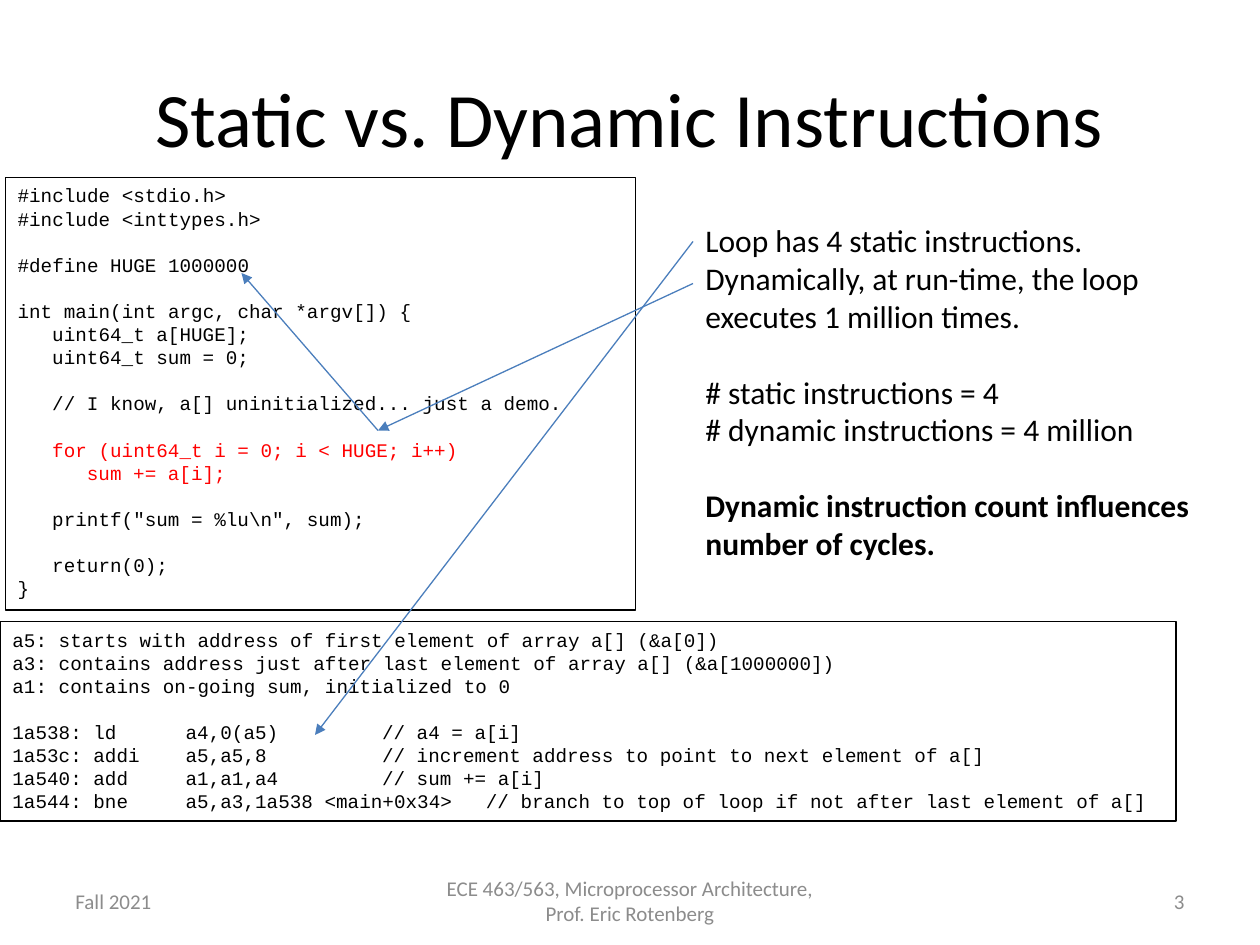
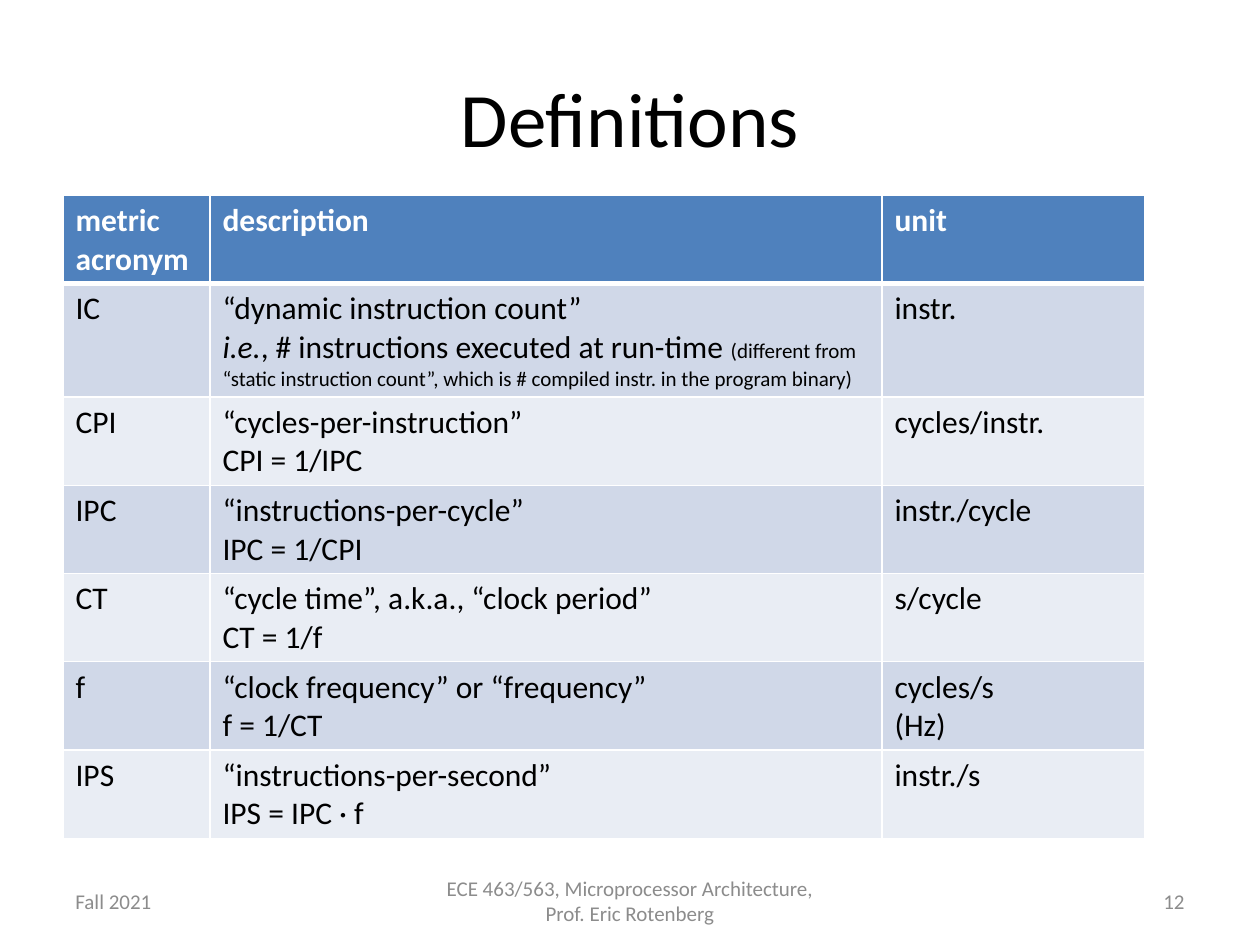
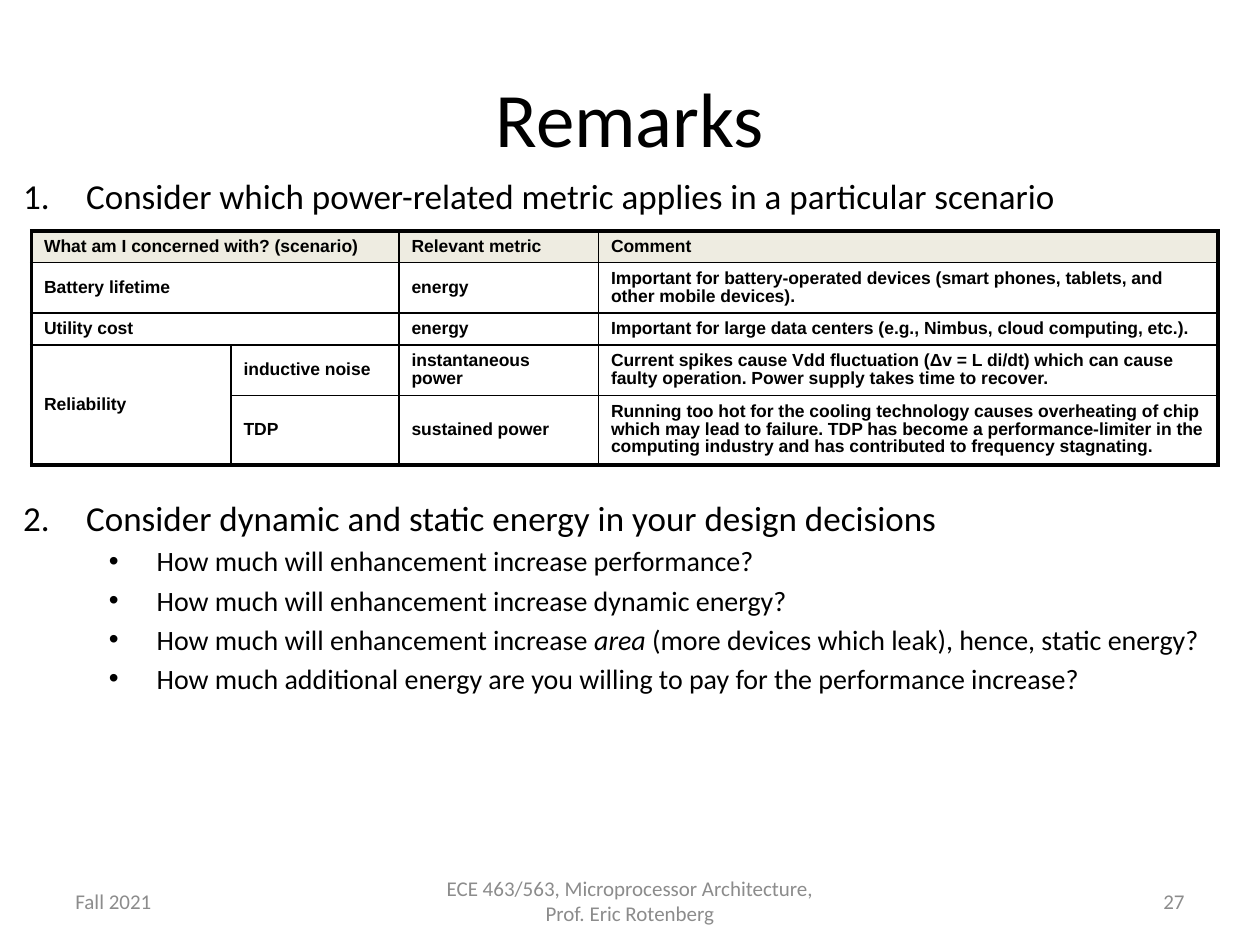
from dataclasses import dataclass

from lxml.etree import SubElement
from pptx import Presentation
from pptx.dml.color import RGBColor
from pptx.enum.shapes import MSO_CONNECTOR as Connector, MSO_SHAPE as Preset
from pptx.enum.text import MSO_ANCHOR as Anchor, MSO_AUTO_SIZE as AutoSize, PP_ALIGN as Align
from pptx.oxml.ns import qn
from pptx.util import Inches, Pt

COLUMNS, ROWS = 120, 90
LINE_HEIGHT = 1.2
MONOSPACE_WIDTH = 0.6


@dataclass(frozen=True)
class Theme:
    sans: str = "Calibri"
    code: str = "Courier New"
    grid: str = "Arial"
    ink: str = "000000"
    paper: str = "FFFFFF"
    muted: str = "8C8C8C"
    highlight: str = "FF0000"
    arrow: str = "4B7EBC"
    header: str = "4F81BD"
    bands: tuple = ("D0D8E8", "E9EDF4")
    sand: str = "EEECE1"
    title_size: float = 44
    item_size: float = 20
    text_size: float = 18
    detail_size: float = 16
    small_size: float = 12
    code_size: float = 11
    grid_size: float = 10
    thin: float = 0.75


@dataclass(frozen=True)
class Span:
    """A piece of a line that differs from the rest."""
    text: str
    size: float = None
    italic: bool = None


@dataclass(frozen=True)
class TableStyle:
    font: str
    size: float
    header_fill: str
    header_colour: str
    bands: tuple
    line: str
    inner: float
    outer: float
    header_rule: float
    bold_body: bool = False
    line_spacing: float = None
    anchor: Anchor = Anchor.TOP


THEME = Theme()
BANDED = TableStyle(THEME.sans, THEME.text_size, THEME.header, THEME.paper, THEME.bands,
                    THEME.paper, inner=1, outer=1, header_rule=3)
RULED = TableStyle(THEME.grid, THEME.grid_size, THEME.sand, THEME.ink, (None,),
                   THEME.ink, inner=1, outer=2.25, header_rule=1, bold_body=True,
                   line_spacing=0.9, anchor=Anchor.MIDDLE)


def rgb(colour):
    return RGBColor.from_string(colour)


def set_text(paragraph, content, font, size, colour, bold=None):
    """Write a string, or a list of strings and spans, and format its runs."""
    if isinstance(content, str):
        content = [content]
    spans = [part if isinstance(part, Span) else Span(part) for part in content]
    if len(spans) == 1:
        paragraph.text = spans[0].text
    else:
        for span in spans:
            paragraph.add_run().text = span.text
    for index, run in enumerate(paragraph.runs):
        span = spans[min(index, len(spans) - 1)]
        run.font.name = font
        run.font.size = Pt(span.size or size)
        run.font.color.rgb = rgb(colour)
        run.font.bold = bold
        run.font.italic = span.italic


def paragraphs_for(text_frame, count):
    return [text_frame.paragraphs[0]] + [text_frame.add_paragraph() for _ in range(count - 1)]


def gaps_before(lines):
    """Pair each filled line with the number of blank lines above it."""
    pairs, blanks = [], 0
    for line in lines:
        if line:
            pairs.append((line, blanks))
            blanks = 0
        else:
            blanks += 1
    return pairs


def draw_border(cell, side, colour, width):
    line = SubElement(cell._tc.get_or_add_tcPr(), qn(f"a:ln{side}"), w=str(Pt(width)))
    fill = SubElement(line, qn("a:solidFill"))
    SubElement(fill, qn("a:srgbClr"), val=colour)


class Deck:
    def __init__(self, theme):
        self.theme = theme
        self.presentation = Presentation()
        self.presentation.slide_width = Inches(10)
        self.presentation.slide_height = Inches(7.5)
        self.slide = None

    def x(self, columns):
        return round(self.presentation.slide_width * columns / COLUMNS)

    def y(self, rows):
        return round(self.presentation.slide_height * rows / ROWS)

    def box(self, left, top, width, height):
        return self.x(left), self.y(top), self.x(width), self.y(height)

    def new_slide(self, title, number, layout="Title Only"):
        layouts = self.presentation.slide_layouts
        self.slide = self.presentation.slides.add_slide(layouts.get_by_name(layout))
        theme = self.theme
        heading = self.slide.shapes.title
        heading.left, heading.top, heading.width, heading.height = self.box(6, 3.6, 108, 15)
        set_text(heading.text_frame.paragraphs[0], title, theme.sans, theme.title_size, theme.ink)
        footers = (
            ("Fall 2021", 6, 28, Align.LEFT),
            ("ECE 463/563, Microprocessor Architecture, Prof. Eric Rotenberg", 41, 38, Align.CENTER),
            (str(number), 86, 28, Align.RIGHT),
        )
        for text, left, width, alignment in footers:
            self.footer(text, left, width, alignment)

    def footer(self, text, left, width, alignment):
        frame = self.slide.shapes.add_textbox(*self.box(left, 83.4, width, 4.8)).text_frame
        frame.word_wrap = True
        frame.vertical_anchor = Anchor.MIDDLE
        frame.paragraphs[0].alignment = alignment
        set_text(frame.paragraphs[0], text, self.theme.sans, self.theme.small_size,
                 self.theme.muted)

    def code(self, source, area, highlighted=(), tabs=()):
        """Framed listing: blank lines become spacing, leading spaces become indents."""
        theme = self.theme
        character = theme.code_size * MONOSPACE_WIDTH
        shape = self.slide.shapes.add_shape(Preset.RECTANGLE, *self.box(*area))
        shape.shadow.inherit = False
        shape.fill.background()
        shape.line.color.rgb = rgb(theme.ink)
        shape.line.width = Pt(theme.thin)
        frame = shape.text_frame
        frame.word_wrap = True
        frame.vertical_anchor = Anchor.TOP
        lines = gaps_before(source.strip().splitlines())
        for paragraph, (line, blanks) in zip(paragraphs_for(frame, len(lines)), lines):
            text = line.lstrip()
            marked = bool(highlighted) and text.startswith(highlighted)
            set_text(paragraph, text, theme.code, theme.code_size,
                     theme.highlight if marked else theme.ink)
            paragraph.alignment = Align.LEFT
            paragraph.space_before = Pt(blanks * theme.code_size * LINE_HEIGHT)
            properties = paragraph._p.get_or_add_pPr()
            properties.set("marL", str(Pt((len(line) - len(text)) * character)))
            if "\t" in text:
                stops = SubElement(properties, qn("a:tabLst"))
                for stop in tabs:
                    SubElement(stops, qn("a:tab"), pos=str(Pt(stop * character)), algn="l")

    def commentary(self, lines, area, bold_from):
        theme = self.theme
        frame = self.slide.shapes.add_textbox(*self.box(*area)).text_frame
        frame.word_wrap = True
        pairs = gaps_before(lines)
        for paragraph, (line, blanks) in zip(paragraphs_for(frame, len(pairs)), pairs):
            set_text(paragraph, line, theme.sans, theme.text_size, theme.ink,
                     bold=line.startswith(bold_from))
            paragraph.space_before = Pt(blanks * theme.text_size * LINE_HEIGHT)

    def arrow(self, start, end):
        connector = self.slide.shapes.add_connector(
            Connector.STRAIGHT, self.x(start[0]), self.y(start[1]), self.x(end[0]), self.y(end[1]))
        connector.line.color.rgb = rgb(self.theme.arrow)
        connector.line.width = Pt(self.theme.thin)
        SubElement(connector.line._get_or_add_ln(), qn("a:tailEnd"), type="triangle")
        SubElement(connector._element.spPr, qn("a:effectLst"))

    def outline(self, items, area):
        """Fill the body with (level, content, space before in points) items."""
        theme = self.theme
        body = self.slide.placeholders[1]
        body.left, body.top, body.width, body.height = self.box(*area)
        frame = body.text_frame
        frame.auto_size = AutoSize.NONE
        for paragraph, (level, content, gap) in zip(paragraphs_for(frame, len(items)), items):
            size = theme.detail_size if level else theme.item_size
            set_text(paragraph, content, theme.sans, size, theme.ink)
            paragraph.level = level
            if gap:
                paragraph.space_before = Pt(gap)
            margin, indent = (1.06, -0.38) if level else (0.5, -0.5)
            properties = paragraph._p.get_or_add_pPr()
            properties.set("marL", str(Inches(margin)))
            properties.set("indent", str(Inches(indent)))
            if level:
                SubElement(properties, qn("a:buFont"), typeface="Arial")
                SubElement(properties, qn("a:buChar"), char="•")
            else:
                SubElement(properties, qn("a:buFont"), typeface="+mj-lt")
                SubElement(properties, qn("a:buAutoNum"), type="arabicPeriod")

    def table(self, cells, left, top, widths, heights, style, merges=()):
        area = self.box(left, top, sum(widths), sum(heights))
        table = self.slide.shapes.add_table(len(heights), len(widths), *area).table
        for column, width in zip(table.columns, widths):
            column.width = self.x(width)
        for row, height in zip(table.rows, heights):
            row.height = self.y(height)
        for first, last in merges:
            table.cell(*first).merge(table.cell(*last))
        for row, contents in enumerate(cells):
            for column, content in enumerate(contents):
                cell = table.cell(row, column)
                if not cell.is_spanned:
                    self.borders(cell, row, column, len(heights), len(widths), style)
                    self.cell(cell, row, content, style)

    def borders(self, cell, row, column, row_count, column_count, style):
        top = style.header_rule if row == 1 else style.inner
        bottom = style.header_rule if row == 0 else style.inner
        sides = (
            ("L", column == 0, style.inner),
            ("R", column + cell.span_width == column_count, style.inner),
            ("T", row == 0, top),
            ("B", row + cell.span_height == row_count, bottom),
        )
        for side, on_edge, width in sides:
            draw_border(cell, side, style.line, style.outer if on_edge else width)

    def cell(self, cell, row, content, style):
        is_header = row == 0
        fill = style.header_fill if is_header else style.bands[(row - 1) % len(style.bands)]
        if fill:
            cell.fill.solid()
            cell.fill.fore_color.rgb = rgb(fill)
        else:
            cell.fill.background()
        cell.vertical_anchor = style.anchor
        lines = content if isinstance(content, tuple) else (content,)
        for paragraph, line in zip(paragraphs_for(cell.text_frame, len(lines)), lines):
            paragraph.line_spacing = style.line_spacing
            set_text(paragraph, line, style.font, style.size,
                     style.header_colour if is_header else self.theme.ink,
                     bold=is_header or style.bold_body)


ASSEMBLY = """
a5: starts with address of first element of array a[] (&a[0])
a3: contains address just after last element of array a[] (&a[1000000])
a1: contains on-going sum, initialized to 0

1a538: ld\ta4,0(a5)\t// a4 = a[i]
1a53c: addi\ta5,a5,8\t// increment address to point to next element of a[]
1a540: add\ta1,a1,a4\t// sum += a[i]
1a544: bne\ta5,a3,1a538 <main+0x34>\t// branch to top of loop if not after last element of a[]
"""

PROGRAM = r"""
#include <stdio.h>
#include <inttypes.h>

#define HUGE 1000000

int main(int argc, char *argv[]) {
   uint64_t a[HUGE];
   uint64_t sum = 0;

   // I know, a[] uninitialized... just a demo.

   for (uint64_t i = 0; i < HUGE; i++)
      sum += a[i];

   printf("sum = %lu\n", sum);

   return(0);
}
"""

LOOP_FACTS = (
    "Loop has 4 static instructions.",
    "Dynamically, at run-time, the loop executes 1 million times.",
    "",
    "# static instructions = 4",
    "# dynamic instructions = 4 million",
    "",
    "Dynamic instruction count influences\vnumber of cycles.",
)

DEFINITIONS = (
    ("metric acronym", "description", "unit"),
    ("IC", ("“dynamic instruction count”",
            [Span("i.e.", italic=True), ", # instructions executed at run-time ",
             Span("(different from “static instruction count”, which is # compiled instr. "
                  "in the program binary)", size=THEME.small_size)]), "instr."),
    ("CPI", "“cycles-per-instruction”\vCPI = 1/IPC", "cycles/instr."),
    ("IPC", ("“instructions-per-cycle”", "IPC = 1/CPI"), "instr./cycle"),
    ("CT", ("“cycle time”, a.k.a., “clock period”", "CT = 1/f"), "s/cycle"),
    ("f", ("“clock frequency” or “frequency”", "f = 1/CT"), ("cycles/s", "(Hz)")),
    ("IPS", ("“instructions-per-second”", "IPS = IPC · f"), "instr./s"),
)

SCENARIOS = (
    ("What am I concerned with? (scenario)", None, "Relevant metric", "Comment"),
    ("Battery lifetime", None, "energy",
     "Important for battery-operated devices (smart phones, tablets, and other mobile devices)."),
    ("Utility cost", None, "energy",
     "Important for large data centers (e.g., Nimbus, cloud computing, etc.)."),
    ("Reliability", "inductive noise", "instantaneous power",
     "Current spikes cause Vdd fluctuation (Δv = L di/dt) which can cause faulty operation. "
     "Power supply takes time to recover."),
    (None, "TDP", "sustained power",
     "Running too hot for the cooling technology causes overheating of chip which may lead to "
     "failure. TDP has become a performance-limiter in the computing industry and has "
     "contributed to frequency stagnating."),
)

TABLE_GAP = 160
REMARKS = (
    (0, "Consider which power-related metric applies in a particular scenario", None),
    (0, "Consider dynamic and static energy in your design decisions", TABLE_GAP),
    (1, "How much will enhancement increase performance?", None),
    (1, "How much will enhancement increase dynamic energy?", None),
    (1, ["How much will enhancement increase ", Span("area", italic=True),
         " (more devices which leak), hence, static energy?"], None),
    (1, "How much additional energy are you willing to pay for the performance increase?", None),
)


def main():
    deck = Deck(THEME)

    deck.new_slide("Static vs. Dynamic Instructions", 3)
    deck.code(ASSEMBLY, (0, 59.2, 112, 19), tabs=(15, 32, 41))
    deck.code(PROGRAM, (0.5, 16.9, 60, 41.2), highlighted=("for (", "sum +="))
    deck.commentary(LOOP_FACTS, (66, 20.5, 51, 34), bold_from="Dynamic instruction")
    loop = (36, 41)
    deck.arrow((66, 23), (30, 70))
    deck.arrow((66, 27), loop)
    deck.arrow(loop, (23, 26))

    deck.new_slide("Definitions", 12)
    deck.table(DEFINITIONS, 6, 18.6, (14, 64, 25), [4.9] * len(DEFINITIONS), BANDED)

    deck.new_slide("Remarks", 27, layout="Title and Content")
    deck.outline(REMARKS, (1, 16, 117, 67))
    deck.table(SCENARIOS, 3, 22, (19, 16, 19, 59), (3, 4.8, 3, 4.8, 6.6), RULED,
               merges=[((row, 0), (row, 1)) for row in range(3)] + [((3, 0), (4, 0))])

    deck.presentation.save("out.pptx")


if __name__ == "__main__":
    main()
